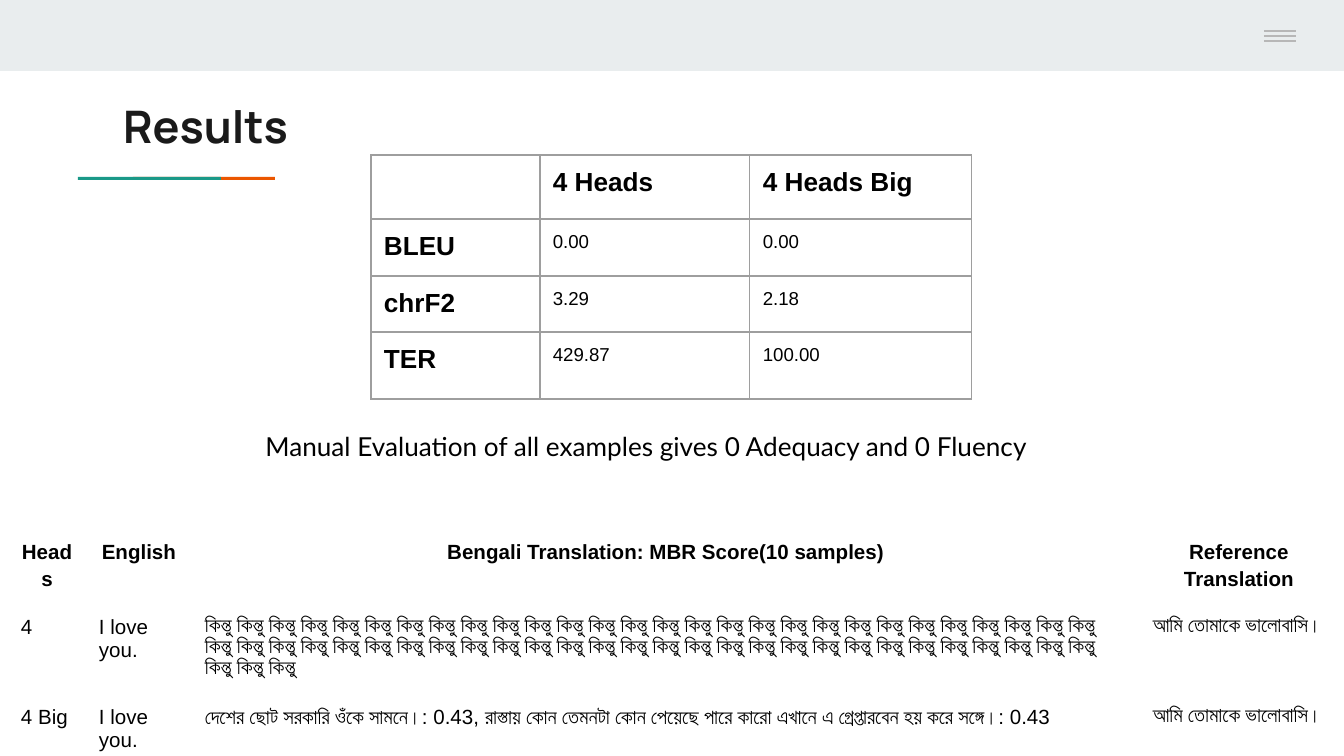
from lxml.etree import SubElement
from pptx import Presentation
from pptx.dml.color import RGBColor
from pptx.enum.shapes import MSO_CONNECTOR as Connector, MSO_SHAPE as Shape
from pptx.enum.text import MSO_ANCHOR as Anchor, PP_ALIGN as Align
from pptx.oxml import parse_xml
from pptx.oxml.ns import nsdecls, qn
from pptx.util import Pt

PX = 914400 / 134.4
BLACK = RGBColor(0x00, 0x00, 0x00)
INK = RGBColor(0x1A, 0x1A, 0x1A)
BAND = RGBColor(0xE9, 0xED, 0xEE)
TEAL = RGBColor(0x1A, 0x99, 0x88)
ORANGE = RGBColor(0xEB, 0x56, 0x00)
MENU_GRAY = RGBColor(0xB7, 0xB7, 0xB7)
GRID_GRAY = RGBColor(0x9E, 0x9E, 0x9E)

REFERENCE = "আমি তোমাকে ভালোবাসি।"
SCORES = [
    ["", "4 Heads", "4 Heads Big"],
    ["BLEU", "0.00", "0.00"],
    ["chrF2", "3.29", "2.18"],
    ["TER", "429.87", "100.00"],
]
SAMPLES = [
    ["Heads", "English", "Bengali Translation: MBR Score(10 samples)",
     "Reference Translation"],
    ["4", "I love you.", " ".join(["কিন্তু"] * 59), REFERENCE],
    ["4 Big", "I love you.",
     "দেশের ছোট সরকারি ওঁকে সামনে।: 0.43, রাস্তায় কোন তেমনটা কোন পেয়েছে "
     "পারে কারো এখানে এ গ্রেপ্তারবেন হয় করে সঙ্গে।: 0.43", REFERENCE],
]


def px(*lengths):
    return [round(length * PX) for length in lengths]


def set_font(para, name, size, color, bold=False):
    font = para.font
    font.name, font.size, font.bold = name, Pt(size), bold
    font.color.rgb = color


def set_insets(target):
    """Give a text frame or table cell the same margin on all sides."""
    inset = px(13)[0]
    target.margin_left = target.margin_right = inset
    target.margin_top = target.margin_bottom = inset


def add_bar(page, left, top, width, height, color):
    bar = page.shapes.add_shape(Shape.RECTANGLE, *px(left, top, width, height))
    bar.shadow.inherit = False
    bar.fill.solid()
    bar.fill.fore_color.rgb = color
    bar.line.fill.background()


def add_rule(page, left, right, y):
    rule = page.shapes.add_connector(Connector.STRAIGHT, *px(left, y, right, y))
    rule.line.color.rgb = MENU_GRAY
    rule.line.width = Pt(0.75)
    SubElement(rule._element.spPr, qn("a:effectLst"))


def set_title(page, text):
    title = page.shapes.title
    title.left, title.top, title.width, title.height = px(110, 86, 624, 82)
    frame = title.text_frame
    frame.text = text
    frame.vertical_anchor = Anchor.TOP
    set_insets(frame)
    para = frame.paragraphs[0]
    para.alignment = Align.LEFT
    set_font(para, "Manrope", 24, INK, bold=True)


def add_note(page, text):
    box = page.shapes.add_textbox(*px(56, 417, 1181, 59))
    frame = box.text_frame
    frame.word_wrap = True
    set_insets(frame)
    frame.text = text
    para = frame.paragraphs[0]
    para.alignment = Align.CENTER
    set_font(para, "Lato", 14, BLACK)


def add_borders(cell):
    properties = cell._tc.get_or_add_tcPr()
    for index, side in enumerate(("lnL", "lnR", "lnT", "lnB")):
        border = parse_xml(
            f'<a:{side} {nsdecls("a")} w="{Pt(0.75)}"><a:solidFill>'
            f'<a:srgbClr val="{GRID_GRAY}"/></a:solidFill></a:{side}>')
        properties.insert(index, border)


def add_grid(page, left, top, widths, heights, rows):
    """Add a plain table and return it for formatting."""
    frame = page.shapes.add_table(
        len(rows), len(widths), *px(left, top, sum(widths), sum(heights)))
    table = frame.table
    table.first_row = table.horz_banding = False
    for column, width in zip(table.columns, px(*widths)):
        column.width = width
    for row, height, texts in zip(table.rows, px(*heights), rows):
        row.height = height
        for cell, text in zip(row.cells, texts):
            cell.text = text
            cell.fill.background()
            set_insets(cell)
    return table


def add_scores(page):
    table = add_grid(page, 371, 155, [169, 210, 222], [64, 57, 56, 67], SCORES)
    for r, row in enumerate(table.rows):
        for c, cell in enumerate(row.cells):
            heading = r == 0 or c == 0
            set_font(cell.text_frame.paragraphs[0], "Arial",
                     14 if heading else 10, BLACK, bold=heading)
            add_borders(cell)


def add_samples(page):
    table = add_grid(page, 8, 525, [78, 106, 948, 198], [73, 90, 67], SAMPLES)
    for r, row in enumerate(table.rows):
        for cell in row.cells:
            para = cell.text_frame.paragraphs[0]
            set_font(para, "Arial", 11, BLACK, bold=r == 0)
            if r == 0:
                para.alignment = Align.CENTER
                para.line_spacing = 1.15


def main():
    deck = Presentation()
    deck.slide_width, deck.slide_height = px(1344, 756)
    page = deck.slides.add_slide(deck.slide_layouts[5])
    add_bar(page, 0, 0, 1344, 71, BAND)
    add_bar(page, 133, 177, 142, 3, ORANGE)
    add_bar(page, 78, 177, 143, 3, TEAL)
    for y in (31, 36, 41):
        add_rule(page, 1264, 1296, y)
    set_title(page, "Results")
    add_scores(page)
    add_samples(page)
    add_note(page, "Manual Evaluation of all examples gives "
                   "0 Adequacy and 0 Fluency")
    deck.save("out.pptx")


if __name__ == "__main__":
    main()
